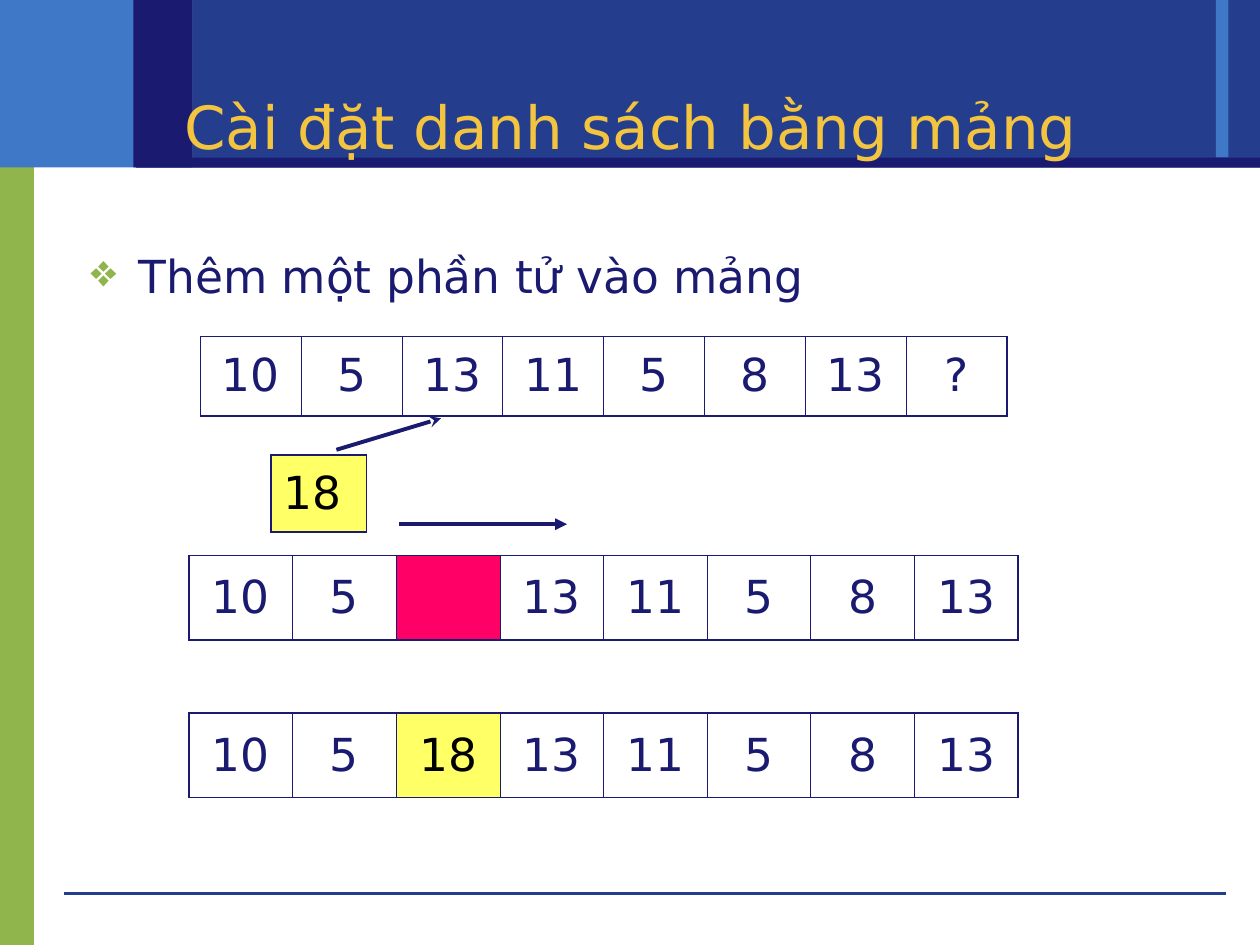
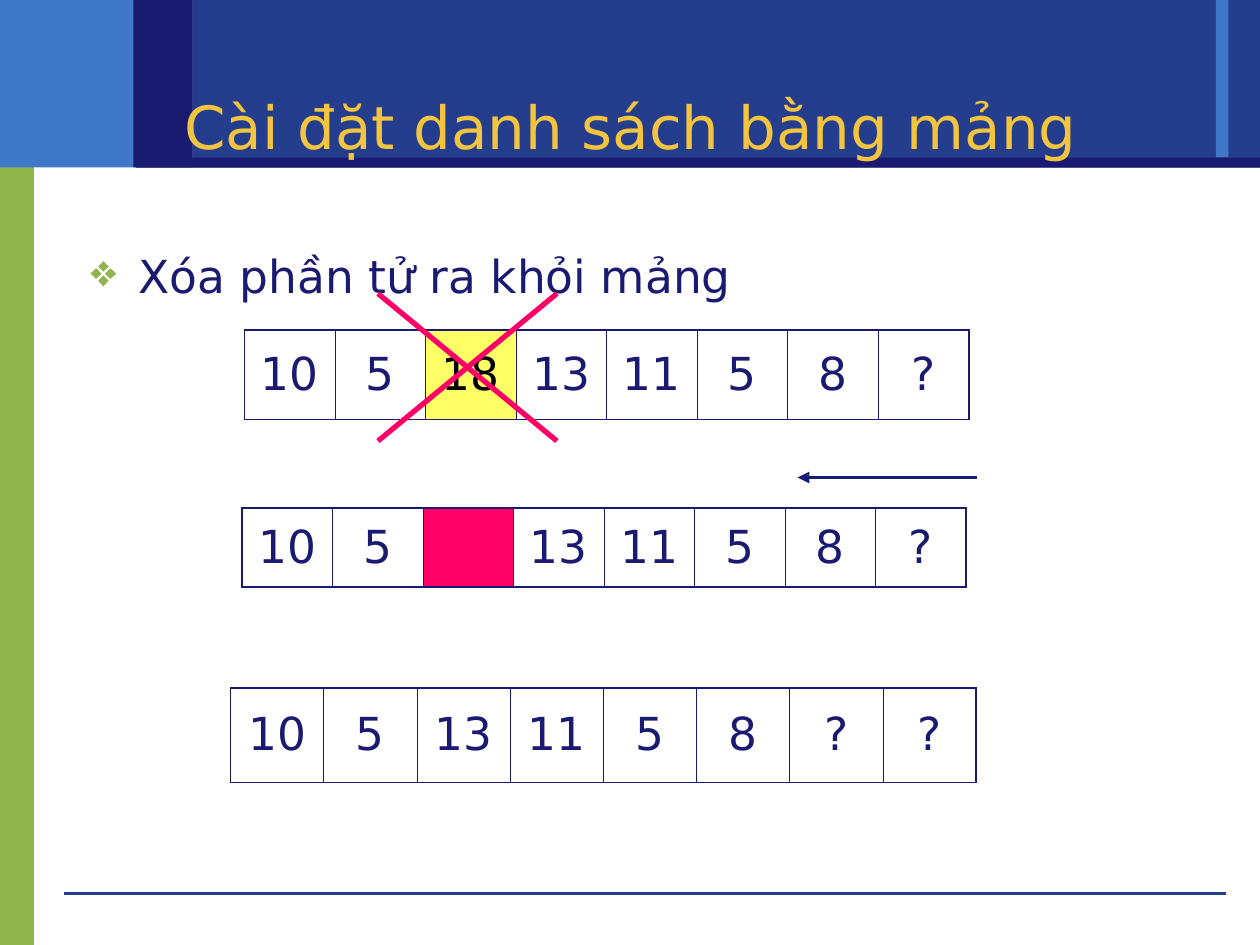
from dataclasses import dataclass, field

from lxml import etree
from pptx import Presentation
from pptx.dml.color import RGBColor
from pptx.enum.shapes import MSO_CONNECTOR, MSO_SHAPE
from pptx.enum.text import MSO_ANCHOR, MSO_AUTO_SIZE, PP_ALIGN
from pptx.oxml.ns import qn
from pptx.util import Inches, Pt

STRAIGHT = MSO_CONNECTOR.STRAIGHT
RECT = MSO_SHAPE.RECTANGLE
MIDDLE = MSO_ANCHOR.MIDDLE
NO_FIT = MSO_AUTO_SIZE.NONE
LEFT, CENTER = PP_ALIGN.LEFT, PP_ALIGN.CENTER

WHITE = RGBColor(0xFF, 0xFF, 0xFF)
BLACK = RGBColor(0x00, 0x00, 0x00)
NAVY = RGBColor(0x1A, 0x1A, 0x70)
BLUE = RGBColor(0x24, 0x3D, 0x8C)
SKY = RGBColor(0x3E, 0x78, 0xC6)
GREEN = RGBColor(0x90, 0xB5, 0x4D)
GOLD = RGBColor(0xF3, 0xC4, 0x3F)
YELLOW = RGBColor(0xFF, 0xFF, 0x66)
PINK = RGBColor(0xFF, 0x00, 0x66)

FONT = "DejaVu Sans"
TITLE_SIZE, TEXT_SIZE = 34, 26
OUTER_BORDER, INNER_BORDER = 1.08, 0.45
TITLE = "Cài đặt danh sách bằng mảng"
TITLE_BOX = (0.63, 0.33, 8.75, 1.33)


@dataclass(frozen=True)
class Band:
    left: float
    top: float
    width: float
    height: float
    colour: RGBColor


@dataclass(frozen=True)
class Line:
    start: tuple[float, float]
    end: tuple[float, float]
    colour: RGBColor = NAVY
    width: float = 2.25
    head: str = ""


@dataclass(frozen=True)
class Array:
    left: float
    top: float
    width: float
    height: float
    values: tuple[str, ...]
    fills: dict[int, RGBColor] = field(default_factory=dict)
    align: PP_ALIGN = CENTER


@dataclass(frozen=True)
class Page:
    heading: str
    heading_width: float
    items: tuple[Array | Line, ...]


BANDS = (
    Band(0, 1.07, 0.27, 6.43, GREEN),
    Band(0, 0, 1.53, 1.33, SKY),
    Band(1.53, 0, 8.47, 1.33, BLUE),
    Band(9.65, 0, 0.1, 1.25, SKY),
    Band(1.08, 1.25, 8.92, 0.08, NAVY),
    Band(1.06, 0, 0.47, 1.33, NAVY),
)
FOOTER_RULE = Line((0.51, 7.09), (9.73, 7.09), BLUE, 0)

PAGES = (
    Page("Thêm một phần tử vào mảng", 8.35, (
        Array(1.59, 2.67, 6.4, 0.63, ("10", "5", "13", "11", "5", "8", "13", "?")),
        Array(2.15, 3.61, 0.76, 0.61, ("18",), {0: YELLOW}, LEFT),
        Line((2.67, 3.57), (3.5, 3.32), head="stealth"),
        Array(1.5, 4.41, 6.58, 0.67, ("10", "5", "", "13", "11", "5", "8", "13"), {2: PINK}),
        Line((3.17, 4.16), (4.5, 4.16), head="triangle"),
        Array(1.5, 5.66, 6.58, 0.67, ("10", "5", "18", "13", "11", "5", "8", "13"), {2: YELLOW}),
    )),
    Page("Xóa phần tử ra khỏi mảng", 8.59, (
        Array(1.94, 2.62, 5.75, 0.71, ("10", "5", "18", "13", "11", "5", "8", "?"), {2: YELLOW}),
        Array(1.92, 4.03, 5.75, 0.63, ("10", "5", "", "13", "11", "5", "8", "?"), {2: PINK}),
        Line((4.42, 2.33), (3, 3.5), PINK, 3),
        Line((3, 2.33), (4.42, 3.5), PINK, 3),
        Array(1.83, 5.46, 5.92, 0.75, ("10", "5", "13", "11", "5", "8", "?", "?")),
        Line((7.75, 3.79), (6.33, 3.79), head="triangle"),
    )),
)


def write(tf, text: str, *, size: float = TEXT_SIZE, colour: RGBColor = NAVY,
          align: PP_ALIGN = LEFT):
    """Put one formatted run in the first paragraph and return the paragraph."""
    p = tf.paragraphs[0]
    p.alignment = align
    r = p.add_run()
    r.text = text
    r.font.name = FONT
    r.font.size = Pt(size)
    r.font.color.rgb = colour
    return p


def add_solid(parent, colour: RGBColor) -> None:
    """Append a solid fill to an XML element."""
    fill = etree.SubElement(parent, qn("a:solidFill"))
    etree.SubElement(fill, qn("a:srgbClr"), val=str(colour))


def add_band(s, band: Band) -> None:
    """Draw one plain rectangle of the slide frame."""
    sp = s.shapes.add_shape(RECT, Inches(band.left), Inches(band.top),
                            Inches(band.width), Inches(band.height))
    sp.shadow.inherit = False
    sp.fill.solid()
    sp.fill.fore_color.rgb = band.colour
    sp.line.fill.background()


def add_line(s, line: Line) -> None:
    """Draw a straight line, with an arrowhead if it names one."""
    c = s.shapes.add_connector(STRAIGHT, *map(Inches, line.start + line.end))
    c.line.color.rgb = line.colour
    c.line.width = Pt(line.width)
    if line.head:
        etree.SubElement(c.line._get_or_add_ln(), qn("a:tailEnd"), type=line.head)
    etree.SubElement(c._element.spPr, qn("a:effectLst"))


def set_borders(cell, first: bool, last: bool) -> None:
    """Give a cell thick borders on the outside and thin ones between cells."""
    tc_pr = cell._tc.get_or_add_tcPr()
    for tag, outer in (("a:lnL", first), ("a:lnR", last), ("a:lnT", True), ("a:lnB", True)):
        width = Pt(OUTER_BORDER if outer else INNER_BORDER)
        add_solid(etree.SubElement(tc_pr, qn(tag), w=str(width)), NAVY)


def add_array(s, array: Array) -> None:
    """Draw an array as a one-row table."""
    count = len(array.values)
    table = s.shapes.add_table(1, count, Inches(array.left), Inches(array.top),
                               Inches(array.width), Inches(array.height)).table
    table.first_row = table.horz_banding = False
    for i, value in enumerate(array.values):
        table.columns[i].width = Inches(array.width / count)
        cell = table.cell(0, i)
        cell.vertical_anchor = MIDDLE
        set_borders(cell, i == 0, i == count - 1)
        cell.fill.solid()
        cell.fill.fore_color.rgb = array.fills.get(i, WHITE)
        if value:
            colour = BLACK if i in array.fills else NAVY
            write(cell.text_frame, value, colour=colour, align=array.align)


def add_title(s) -> None:
    """Place and format the title in front of the bands."""
    sp = s.shapes.title
    sp.left, sp.top, sp.width, sp.height = map(Inches, TITLE_BOX)
    sp.element.getparent().append(sp.element)
    tf = sp.text_frame
    tf.auto_size = NO_FIT
    tf.vertical_anchor = MIDDLE
    write(tf, TITLE, size=TITLE_SIZE, colour=GOLD, align=CENTER)


def add_heading(s, text: str, width: float) -> None:
    """Write the bulleted heading above the arrays."""
    tf = s.shapes.add_textbox(Inches(0.62), Inches(1.92), Inches(width), Inches(4.67)).text_frame
    tf.word_wrap = True
    p_pr = write(tf, text)._p.get_or_add_pPr()
    indent = Inches(0.38)
    p_pr.set("marL", str(indent))
    p_pr.set("indent", str(-indent))
    colour = etree.SubElement(p_pr, qn("a:buClr"))
    etree.SubElement(colour, qn("a:srgbClr"), val=str(GREEN))
    etree.SubElement(p_pr, qn("a:buChar"), char="❖")


def add_page(prs, page: Page) -> None:
    """Build one slide from its description."""
    s = prs.slides.add_slide(prs.slide_layouts[5])
    for band in BANDS:
        add_band(s, band)
    add_line(s, FOOTER_RULE)
    add_title(s)
    add_heading(s, page.heading, page.heading_width)
    for item in page.items:
        if isinstance(item, Array):
            add_array(s, item)
        else:
            add_line(s, item)


def main() -> None:
    """Build and save the presentation."""
    prs = Presentation()
    prs.slide_width, prs.slide_height = Inches(10), Inches(7.5)
    for page in PAGES:
        add_page(prs, page)
    prs.save("out.pptx")


if __name__ == "__main__":
    main()
